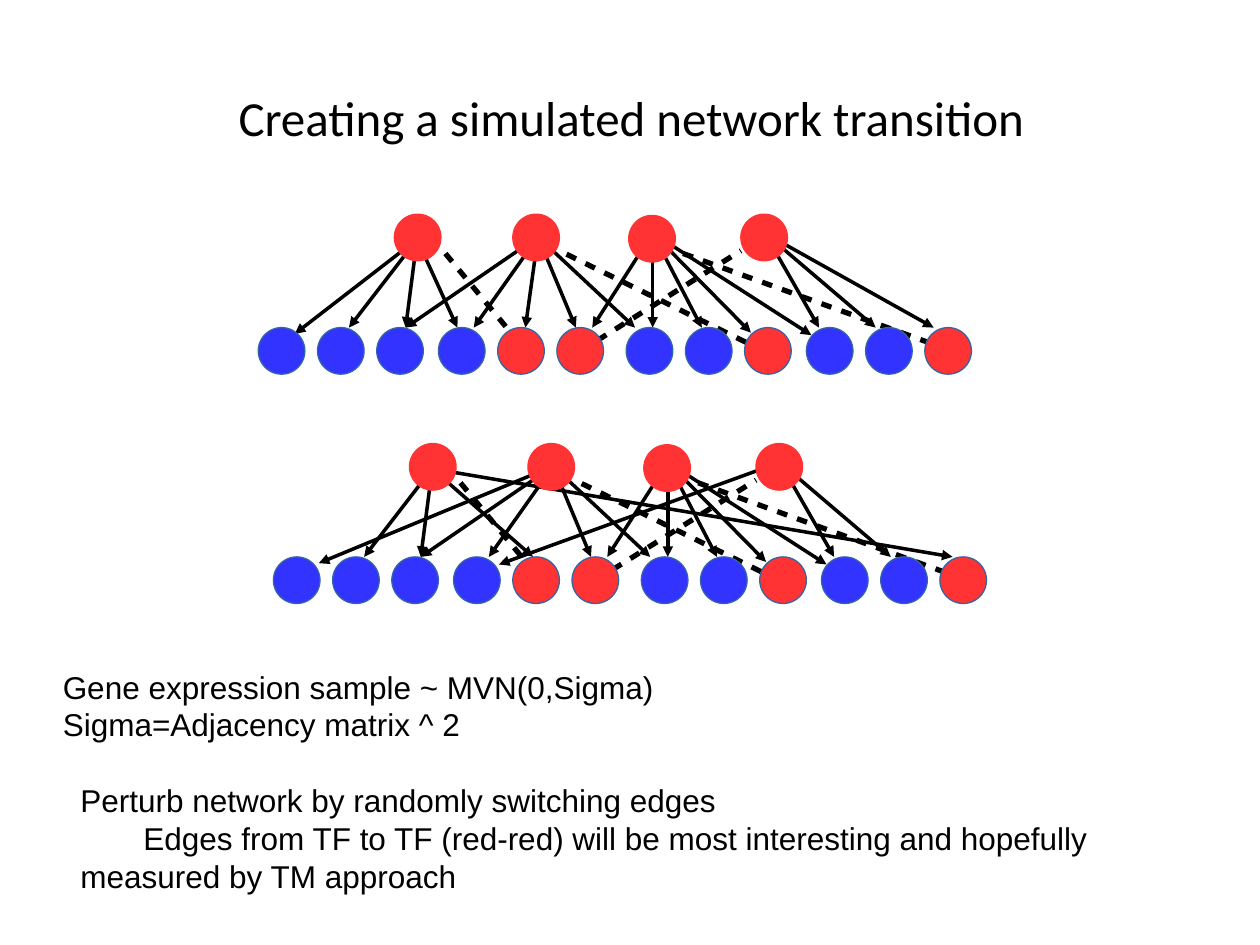
import lxml.etree
import pptx
import pptx.dml.color
import pptx.enum.shapes
import pptx.enum.text
import pptx.oxml.ns
import pptx.util

Inches = pptx.util.Inches
RED = "FF3333"
BLUE = "3333FF"
GENE_OUTLINE = "3465A4"
BLACK = "000000"
DIAMETER = 0.37
GENE_TOP = 2.6

REGULATORS = [(3.13, 1.7), (4.07, 1.7), (4.99, 1.71), (5.88, 1.7)]
EDGE_STARTS = [(3.31, 1.9), (4.27, 1.88), (5.18, 1.85), (6.07, 1.85)]
GENE_LEFTS = [2.05, 2.52, 2.99, 3.48, 3.95, 4.42,
              4.97, 5.44, 5.91, 6.4, 6.87, 7.34]
RED_GENES = {4, 5, 8, 11}
SWITCHED_EDGES = [
    ((4.12, 2.72), (3.5, 1.97)),
    ((4.6, 2.79), (5.88, 1.99)),
    ((6.07, 2.79), (4.44, 1.99)),
    ((7.54, 2.78), (5.36, 1.99)),
]
SHARED_TARGETS = [
    [(2.77, 2.6), (3.22, 2.6)],
    [(3.76, 2.6), (3.22, 2.6), (4.57, 2.6), (5.04, 2.6)],
    [(5.18, 2.6), (4.7, 2.6), (5.57, 2.6), (5.96, 2.64), (6.44, 2.66)],
    [(6.5, 2.6), (6.95, 2.6)],
]
INITIAL_TARGETS = [[(2.34, 2.65), (3.63, 2.6)], [(4.17, 2.6)], [], [(7.41, 2.6)]]
PERTURBED_TARGETS = [[(7.44, 2.6), (4.11, 2.6)], [(2.41, 2.65)], [], [(3.84, 2.66)]]


def color(value):
    return pptx.dml.color.RGBColor.from_string(value)


def add_child(parent, tag, **attributes):
    return lxml.etree.SubElement(parent, pptx.oxml.ns.qn(tag), **attributes)


def add_text(slide, box, text, size=18, font="Arial", align="LEFT",
             anchor="TOP", wrap=True):
    shape = slide.shapes.add_textbox(*map(Inches, box))
    frame = shape.text_frame
    frame.word_wrap = wrap
    frame.vertical_anchor = getattr(pptx.enum.text.MSO_ANCHOR, anchor)
    frame.text = text
    for paragraph in frame.paragraphs:
        paragraph.alignment = getattr(pptx.enum.text.PP_ALIGN, align)
        paragraph.font.size = pptx.util.Pt(size)
        paragraph.font.name = font
        paragraph.font.color.rgb = color(BLACK)


def add_node(slide, left, top, fill, outline):
    shape = slide.shapes.add_shape(
        pptx.enum.shapes.MSO_SHAPE.OVAL,
        *map(Inches, (left, top, DIAMETER, DIAMETER)))
    shape.shadow.inherit = False
    shape.fill.solid()
    shape.fill.fore_color.rgb = color(fill)
    shape.line.color.rgb = color(outline)
    shape.line.width = 0


def add_edge(slide, start, end, offset, switched=False):
    points = [Inches(value + shift) for point in (start, end)
              for value, shift in zip(point, offset)]
    connector = slide.shapes.add_connector(
        pptx.enum.shapes.MSO_CONNECTOR.STRAIGHT, *points)
    connector.line.color.rgb = color(BLACK)
    connector.line.width = pptx.util.Pt(3 if switched else 0)
    line = connector.line._get_or_add_ln()
    if switched:
        dash = add_child(line, "a:custDash")
        add_child(dash, "a:ds", d="200000", sp="200000")
    else:
        add_child(line, "a:tailEnd", type="triangle")
    add_child(connector._element.spPr, "a:effectLst")


def add_network(slide, offset, own_targets):
    across, down = offset
    for start, shared, own in zip(EDGE_STARTS, SHARED_TARGETS, own_targets):
        for target in shared + own:
            add_edge(slide, start, target, offset)
    for left, top in REGULATORS:
        add_node(slide, left + across, top + down, RED, RED)
    for start, end in SWITCHED_EDGES:
        add_edge(slide, start, end, offset, switched=True)
    for index, left in enumerate(GENE_LEFTS):
        fill = RED if index in RED_GENES else BLUE
        add_node(slide, left + across, GENE_TOP + down, fill, GENE_OUTLINE)


def main():
    presentation = pptx.Presentation()
    presentation.slide_width = Inches(10)
    presentation.slide_height = Inches(7.5)
    slide = presentation.slides.add_slide(presentation.slide_layouts[6])
    add_text(slide, (0.51, 0.3, 9, 1.25),
             "Creating a simulated network transition",
             size=28, font="Calibri", align="CENTER", anchor="MIDDLE")
    add_network(slide, (0, 0), INITIAL_TARGETS)
    add_text(slide, (0.4, 5.25, 4.89, 0.66),
             "Gene expression sample ~ MVN(0,Sigma)\nSigma=Adjacency matrix ^ 2",
             wrap=False)
    add_text(slide, (0.54, 6.15, 9.18, 0.94),
             "Perturb network by randomly switching edges\n"
             "\tEdges from TF to TF (red-red) will be most interesting "
             "and hopefully measured by TM approach")
    add_network(slide, (0.12, 1.82), PERTURBED_TARGETS)
    presentation.save("out.pptx")


if __name__ == "__main__":
    main()
